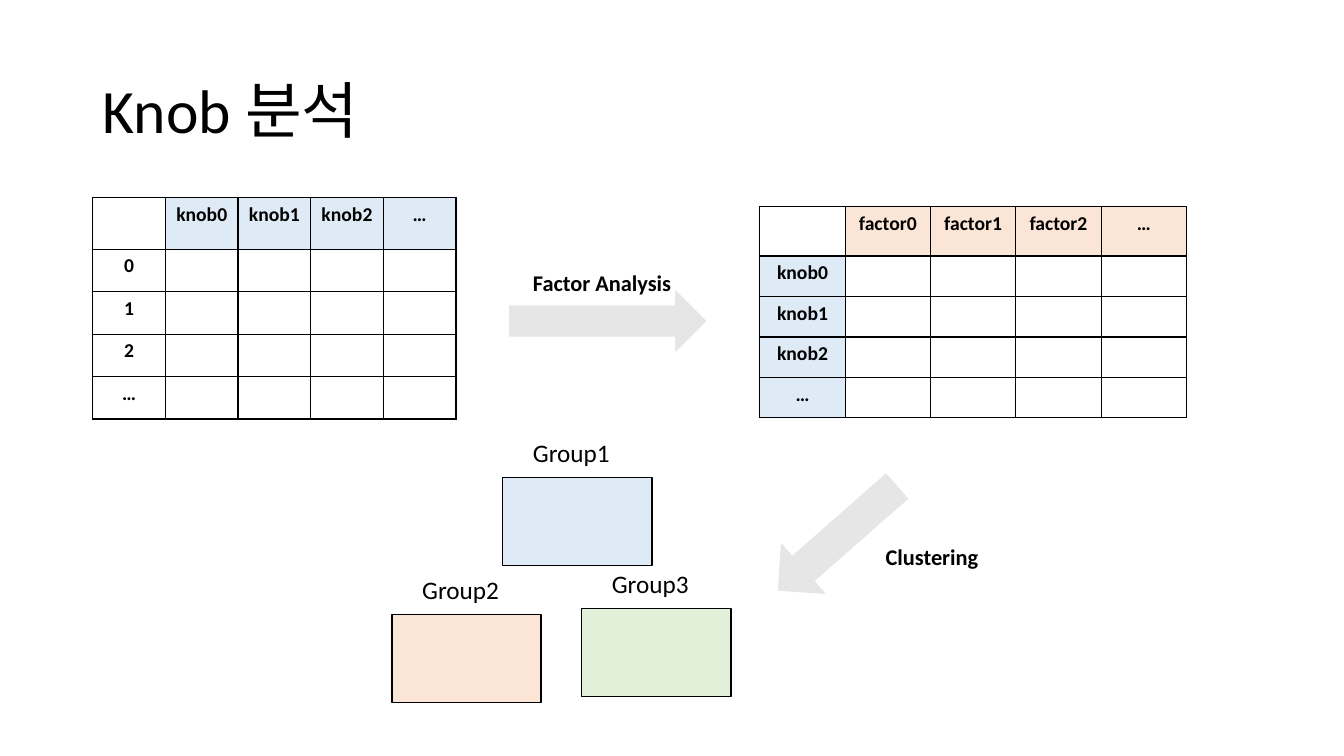
from lxml import etree
from pptx import Presentation
from pptx import util as u
from pptx.dml.color import RGBColor
from pptx.enum import shapes, text
from pptx.oxml import ns

COLORS = {"black": "000000", "blue": "DEEBF7", "orange": "FBE5D6",
          "green": "E2F0D9", "gray": "E7E6E6"}
FONT = "Calibri"

TITLE = ("Knob 분석", (2.34, 1.02, 29.21, 3.68))
TABLES = [
    {"corner": (2.34, 4.98), "column": 1.83, "header": 1.3, "row": 1.07,
     "columns": ["knob0", "knob1", "knob2", "…"], "column_fill": "blue",
     "rows": ["0", "1", "2", "…"], "row_fill": None},
    {"corner": (19.15, 5.21), "column": 2.15, "header": 1.24, "row": 1.02,
     "columns": ["factor0", "factor1", "factor2", "…"], "column_fill": "orange",
     "rows": ["knob0", "knob1", "knob2", "…"], "row_fill": "blue"},
]
ARROWS = [((12.85, 7.34, 4.93, 1.5), 0), ((19.13, 12.75, 3.96, 1.63), 138.7)]
STEPS = [("Factor Analysis", (13.18, 6.65, 4.04, 0.94)),
         ("Clustering", (22.07, 13.56, 2.87, 0.94))]
GROUPS = [("Group1", 12.67, 12.04, "blue"),
          ("Group2", 9.88, 15.49, "orange"),
          ("Group3", 14.66, 15.34, "green")]
GROUP_SIZE = (3.76, 2.21)
LABEL_OFFSET = (0.51, -1.14)
LABEL_SIZE = (2.57, 0.91)


def rgb(name):
    return RGBColor.from_string(COLORS[name])


def style_paragraph(paragraph, size, bold=False):
    font = paragraph.font
    font.name, font.size, font.bold = FONT, u.Pt(size), bold
    font.color.rgb = rgb("black")


def add_text(parent, words, box, size, bold=False, wrap=False):
    shape = parent.add_textbox(*map(u.Cm, box))
    frame = shape.text_frame
    frame.word_wrap = wrap
    frame.text = words
    style_paragraph(frame.paragraphs[0], size, bold)
    return frame


def add_block(parent, kind, box, fill, line):
    shape = parent.add_shape(kind, *map(u.Cm, box))
    shape.shadow.inherit = False
    shape.fill.solid()
    shape.fill.fore_color.rgb = rgb(fill)
    shape.line.color.rgb = rgb(line)
    shape.line.width = u.Pt(1)
    return shape


def add_borders(cell):
    properties = cell._tc.get_or_add_tcPr()
    for position, side in enumerate(("lnL", "lnR", "lnT", "lnB")):
        line = etree.Element(ns.qn("a:" + side), w=str(u.Pt(1)))
        fill = etree.SubElement(line, ns.qn("a:solidFill"))
        etree.SubElement(fill, ns.qn("a:srgbClr"), val=COLORS["black"])
        properties.insert(position, line)


def add_grid(parent, data):
    grid = [[""] + data["columns"]] + [[name, "", "", "", ""] for name in data["rows"]]
    heights = [data["header"]] + [data["row"]] * len(data["rows"])
    width = data["column"] * len(grid[0])
    box = (*data["corner"], width, sum(heights))
    table = parent.add_table(len(grid), len(grid[0]), *map(u.Cm, box)).table
    table.first_row = table.horz_banding = False
    for column in table.columns:
        column.width = u.Cm(data["column"])
    for r, names in enumerate(grid):
        table.rows[r].height = u.Cm(heights[r])
        for c, name in enumerate(names):
            cell = table.cell(r, c)
            cell.text = name
            paragraph = cell.text_frame.paragraphs[0]
            paragraph.alignment = text.PP_ALIGN.CENTER
            style_paragraph(paragraph, 14, True)
            fill = None
            if name:
                fill = data["column_fill"] if r == 0 else data["row_fill"]
            if fill:
                cell.fill.solid()
                cell.fill.fore_color.rgb = rgb(fill)
            else:
                cell.fill.background()
            add_borders(cell)


def main():
    presentation = Presentation()
    presentation.slide_width, presentation.slide_height = u.Cm(33.87), u.Cm(19.05)
    slide = presentation.slides.add_slide(presentation.slide_layouts[6])

    title = add_text(slide.shapes, *TITLE, 44, wrap=True)
    title.vertical_anchor = text.MSO_ANCHOR.MIDDLE
    title.paragraphs[0].line_spacing = 0.9

    for data in TABLES:
        add_grid(slide.shapes, data)

    for box, rotation in ARROWS:
        arrow = add_block(slide.shapes, shapes.MSO_SHAPE.RIGHT_ARROW, box, "gray", "gray")
        arrow.rotation = rotation

    clusters = slide.shapes.add_group_shape().shapes
    for name, left, top, fill in GROUPS:
        label_box = (left + LABEL_OFFSET[0], top + LABEL_OFFSET[1], *LABEL_SIZE)
        add_text(clusters, name, label_box, 18)
        add_block(clusters, shapes.MSO_SHAPE.RECTANGLE,
                  (left, top, *GROUP_SIZE), fill, "black")

    for words, box in STEPS:
        add_text(slide.shapes, words, box, 16, bold=True)

    presentation.save("out.pptx")


if __name__ == "__main__":
    main()
